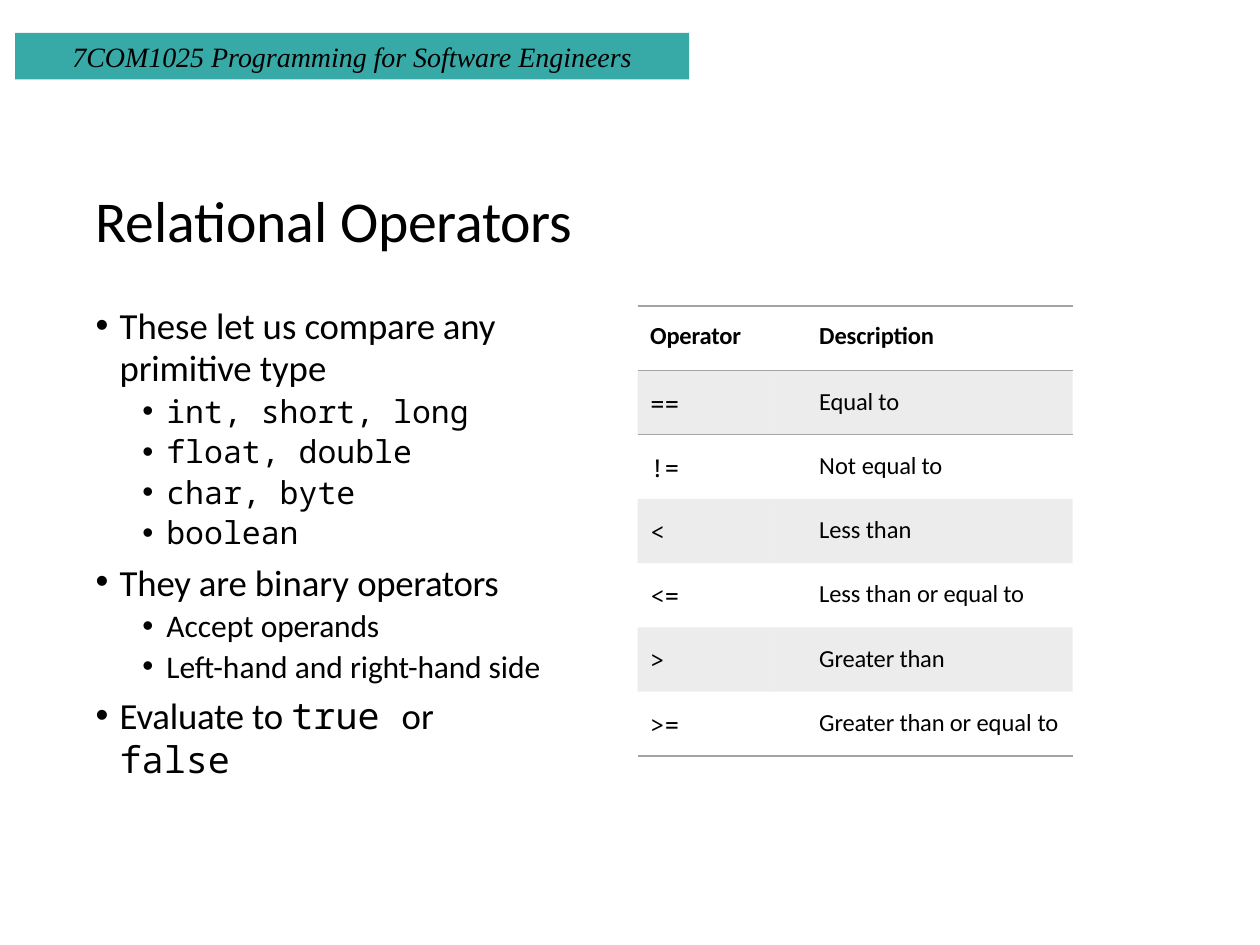
from dataclasses import dataclass
from typing import NamedTuple

from lxml import etree
from pptx import Presentation
from pptx.dml.color import RGBColor
from pptx.enum.shapes import MSO_SHAPE
from pptx.enum.text import MSO_ANCHOR, PP_ALIGN
from pptx.oxml.ns import qn
from pptx.util import Inches, Pt

RECTANGLE = MSO_SHAPE.RECTANGLE
CENTER = PP_ALIGN.CENTER
TOP, MIDDLE = MSO_ANCHOR.TOP, MSO_ANCHOR.MIDDLE

SLIDE_WIDTH, SLIDE_HEIGHT = Inches(10), Inches(7.5)
SANS, MONO, SERIF = "Calibri", "Noto Sans Mono", "Times New Roman"
BLACK, TEAL, GRAY = "000000", "37AAA7", "A4A4A4"
PLAIN_TABLE_STYLE = "{2D5ABB26-0587-4C30-8999-92F81FD0307C}"


class Area(NamedTuple):
    """A place on the slide, in percent of its width and height."""
    left: float
    top: float
    width: float
    height: float

    def lengths(self) -> list[int]:
        sides = (SLIDE_WIDTH, SLIDE_HEIGHT) * 2
        return [round(share * side / 100) for share, side in zip(self, sides)]


class Piece(NamedTuple):
    text: str
    tracking: float = 0
    font: str = SANS


@dataclass
class Point:
    pieces: list[Piece]
    level: int = 0
    bullet: bool = True
    line_height: float | None = None


class Level(NamedTuple):
    size: float
    margin: float
    space_before: float


class Operator(NamedTuple):
    symbol: str
    description: list[Piece]


BANNER_AREA = Area(1.2, 3.47, 53.5, 4.93)
TITLE_AREA = Area(7.5, 19.47, 58.1, 7.47)
POINTS_AREA = Area(7.5, 32.27, 35.9, 46.8)
TABLE_AREA = Area(50.6, 32.4, 42.5, 47.6)
COLUMN_SHARES = (0.25, 0.75)
CELL_INDENTS = (0.1, 0.38)
LEVELS = (Level(21, 0.2, 4.6), Level(18, 0.57, 1.6))
HANGING = 0.19

TITLE = [Piece("Relational ", -0.1), Piece("Operators", -0.2)]
POINTS = [
    Point([Piece("These "), Piece("let ", -0.1), Piece("us "),
           Piece("compare any", -0.1)], line_height=24),
    Point([Piece("primitive ", -0.1), Piece("type")], bullet=False, line_height=24),
    *(Point([Piece(types, 0, MONO)], level=1)
      for types in ("int, short, long", "float, double", "char, byte", "boolean")),
    Point([Piece("They are ", -0.1), Piece("binary "), Piece("operators", -0.2)]),
    Point([Piece("Accept "), Piece("operands", -0.1)], level=1),
    Point([Piece("Left-hand and "), Piece("right-hand ", -0.1), Piece("side")], level=1),
    Point([Piece("Evaluate to ", -0.1), Piece("true ", 0, MONO), Piece("or "),
           Piece("false", 0, MONO)]),
]
HEADINGS = ("Operator", "Description")
OPERATORS = [
    Operator("==", [Piece("Equal to", -0.1)]),
    Operator("!=", [Piece("Not "), Piece("equal to", -0.1)]),
    Operator("<", [Piece("Less ", -0.1), Piece("than")]),
    Operator("<=", [Piece("Less ", -0.1), Piece("than "), Piece("or equal to", -0.1)]),
    Operator(">", [Piece("Greater than", -0.1)]),
    Operator(">=", [Piece("Greater than or ", -0.1), Piece("equal "), Piece("to", -0.1)]),
]


def color(value: str) -> RGBColor:
    return RGBColor.from_string(value)


def add_pieces(paragraph, pieces: list[Piece], size: float,
               bold: bool = False, italic: bool = False) -> None:
    for piece in pieces:
        run = paragraph.add_run()
        run.text = piece.text
        font = run.font
        font.name, font.size = piece.font, Pt(size)
        font.bold, font.italic = bold, italic
        font.color.rgb = color(BLACK)
        if piece.tracking:
            run._r.get_or_add_rPr().set("spc", str(round(piece.tracking * 100)))


def set_indent(paragraph, margin: float, hanging: float = 0) -> None:
    properties = paragraph._p.get_or_add_pPr()
    properties.set("marL", str(Inches(margin)))
    properties.set("indent", str(Inches(-hanging)))


def add_bullet(paragraph) -> None:
    properties = paragraph._p.get_or_add_pPr()
    etree.SubElement(properties, qn("a:buFont"), typeface="Arial")
    etree.SubElement(properties, qn("a:buChar"), char="•")


def add_text_frame(slide, area: Area, anchor: MSO_ANCHOR):
    frame = slide.shapes.add_textbox(*area.lengths()).text_frame
    frame.word_wrap = True
    frame.vertical_anchor = anchor
    frame.margin_left = frame.margin_right = frame.margin_top = frame.margin_bottom = 0
    return frame


def draw_banner(slide) -> None:
    banner = slide.shapes.add_shape(RECTANGLE, *BANNER_AREA.lengths())
    banner.shadow.inherit = False
    banner.fill.solid()
    banner.fill.fore_color.rgb = color(TEAL)
    banner.line.fill.background()
    banner.text_frame.vertical_anchor = MIDDLE
    paragraph = banner.text_frame.paragraphs[0]
    paragraph.alignment = CENTER
    course = Piece("7COM1025 Programming for Software Engineers", font=SERIF)
    add_pieces(paragraph, [course], 16, italic=True)


def draw_points(slide) -> None:
    frame = add_text_frame(slide, POINTS_AREA, TOP)
    for index, point in enumerate(POINTS):
        paragraph = frame.add_paragraph() if index else frame.paragraphs[0]
        level = LEVELS[point.level]
        paragraph.level = point.level
        set_indent(paragraph, level.margin, HANGING if point.bullet else 0)
        if point.line_height:
            paragraph.line_spacing = Pt(point.line_height)
        if index and point.bullet:
            paragraph.space_before = Pt(level.space_before)
        if point.bullet:
            add_bullet(paragraph)
        add_pieces(paragraph, point.pieces, level.size)


def add_border(cell, side: str) -> None:
    line = etree.SubElement(cell._tc.get_or_add_tcPr(), qn(f"a:{side}"), w=str(Pt(1)))
    fill = etree.SubElement(line, qn("a:solidFill"))
    etree.SubElement(fill, qn("a:srgbClr"), val=GRAY)


def shade(cell) -> None:
    cell.fill.solid()
    cell.fill.fore_color.rgb = color(GRAY)
    tint = cell._tc.tcPr.find(f".//{qn('a:solidFill')}[last()]/{qn('a:srgbClr')}")
    for tint in cell._tc.tcPr.findall(f"{qn('a:solidFill')}/{qn('a:srgbClr')}"):
        etree.SubElement(tint, qn("a:alpha"), val="20000")


def draw_operator_table(slide) -> None:
    rows = [[[Piece(heading, -0.1)] for heading in HEADINGS]]
    rows += [[[Piece(operator.symbol, -0.1, MONO)], operator.description]
             for operator in OPERATORS]
    frame = slide.shapes.add_table(len(rows), len(HEADINGS), *TABLE_AREA.lengths())
    table = frame.table
    table.first_row = table.horz_banding = False
    table._tbl.tblPr.find(qn("a:tableStyleId")).text = PLAIN_TABLE_STYLE
    for column, share in zip(table.columns, COLUMN_SHARES):
        column.width = round(frame.width * share)
    ruled_below = (0, 1, len(rows) - 1)
    for row, contents in enumerate(rows):
        for column, pieces in enumerate(contents):
            cell = table.cell(row, column)
            cell.margin_left = cell.margin_right = cell.margin_bottom = 0
            cell.margin_top = Inches(0.13 if row else 0.12)
            if row == 0:
                add_border(cell, "lnT")
            if row in ruled_below:
                add_border(cell, "lnB")
            if row % 2:
                shade(cell)
            else:
                cell.fill.background()
            paragraph = cell.text_frame.paragraphs[0]
            set_indent(paragraph, CELL_INDENTS[column])
            add_pieces(paragraph, pieces, 14, bold=row == 0)


def main() -> None:
    deck = Presentation()
    deck.slide_width, deck.slide_height = SLIDE_WIDTH, SLIDE_HEIGHT
    slide = deck.slides.add_slide(deck.slide_layouts[6])
    draw_banner(slide)
    title = add_text_frame(slide, TITLE_AREA, MIDDLE).paragraphs[0]
    set_indent(title, 0.01)
    add_pieces(title, TITLE, 33)
    draw_points(slide)
    draw_operator_table(slide)
    deck.save("out.pptx")


if __name__ == "__main__":
    main()
